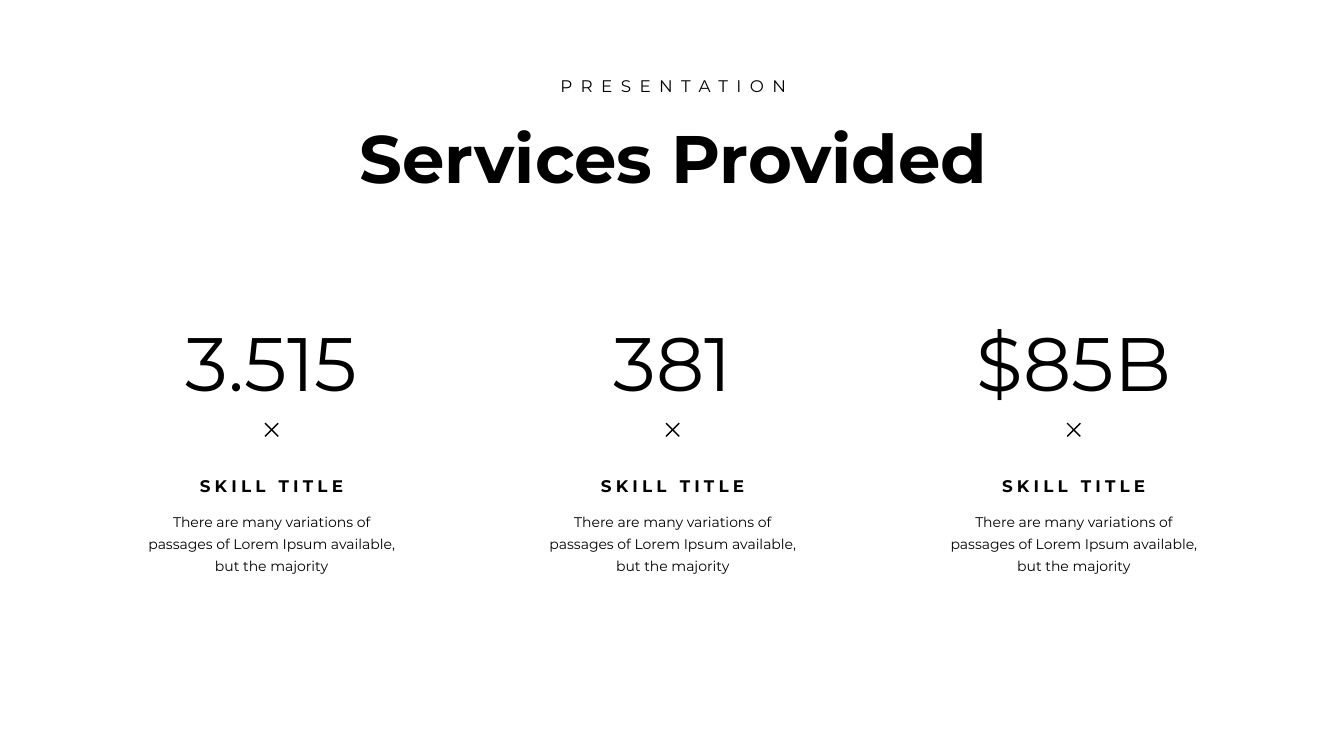
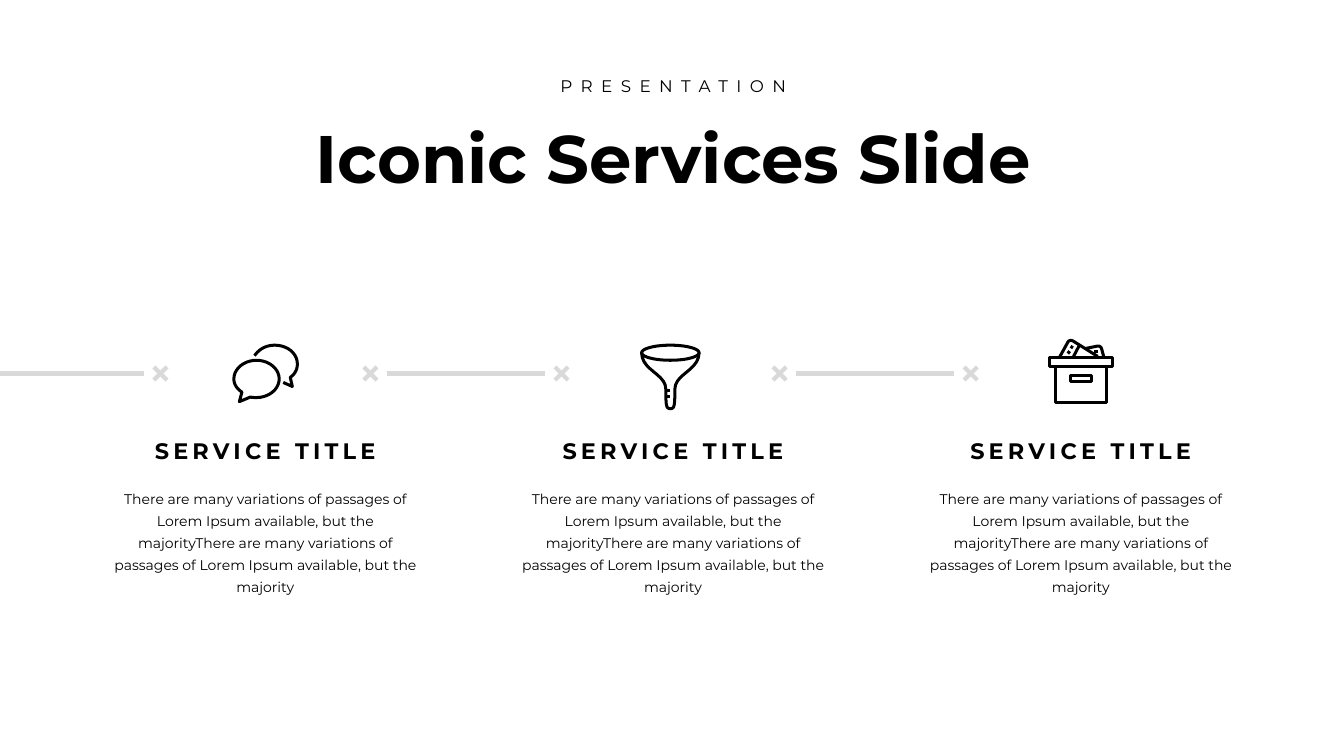
from dataclasses import dataclass
from lxml import etree
from pptx import Presentation
from pptx.dml.color import RGBColor
from pptx.enum.shapes import MSO_CONNECTOR
from pptx.enum.text import MSO_ANCHOR, MSO_AUTO_SIZE, PP_ALIGN
from pptx.oxml.ns import qn
from pptx.util import Pt

STRAIGHT = MSO_CONNECTOR.STRAIGHT
TOP = MSO_ANCHOR.TOP
GROW = MSO_AUTO_SIZE.SHAPE_TO_FIT_TEXT
CENTER = PP_ALIGN.CENTER


# Theme: colours and type styles
@dataclass(frozen=True)
class TextStyle:
    size: float
    bold: bool = False
    leading: float = 1.0
    tracking: float = 0


class Theme:
    font = "Montserrat"
    ink = RGBColor(0, 0, 0)
    rule = RGBColor(0xD9, 0xD9, 0xD9)
    title = TextStyle(48, bold=True, leading=0.8)
    kicker = TextStyle(12, leading=0.8, tracking=6)
    figure = TextStyle(54, leading=0.8)
    skill = TextStyle(12, bold=True, tracking=3)
    service = TextStyle(16, bold=True, tracking=3)
    body = TextStyle(10, leading=1.3)
    icon_unit = 0.72
    icon_line = 2.16


def flatten(path, steps=10):
    """Turn line points (x, y) and cubic curves (six numbers) into points."""
    points = [path[0]]
    for seg in path[1:]:
        if len(seg) == 2:
            points.append(seg)
            continue
        ctrl = [points[-1], seg[:2], seg[2:4], seg[4:]]
        for t in (i / steps for i in range(1, steps + 1)):
            u = 1 - t
            weights = (u ** 3, 3 * u * u * t, 3 * u * t * t, t ** 3)
            points.append(tuple(sum(w * c[k] for w, c in zip(weights, ctrl))
                                for k in (0, 1)))
    return points


class Deck:
    def __init__(self, theme):
        self.theme = theme
        self.prs = Presentation()
        self.prs.slide_width, self.prs.slide_height = Pt(960), Pt(540)
        self.s = None

    def slide(self, title):
        self.s = self.prs.slides.add_slide(self.prs.slide_layouts[5])
        sp = self.s.shapes.title
        sp.left, sp.top, sp.width, sp.height = map(Pt, (160.5, 90.7, 641, 57))
        self.set_text(sp, title, self.theme.title)
        self.text("PRESENTATION", 481, 53.3, 641, 19.5, self.theme.kicker)

    def text(self, text, center, top, width, height, style):
        sp = self.s.shapes.add_textbox(
            Pt(center - width / 2), Pt(top), Pt(width), Pt(height))
        self.set_text(sp, text, style)

    def set_text(self, sp, text, style):
        tf = sp.text_frame
        frame = {"word_wrap": True, "auto_size": GROW, "vertical_anchor": TOP,
                 "margin_left": 0, "margin_right": 0,
                 "margin_top": Pt(3.6), "margin_bottom": Pt(3.6)}
        for name, value in frame.items():
            setattr(tf, name, value)
        p = tf.paragraphs[0]
        p.alignment, p.line_spacing = CENTER, style.leading
        r = p.add_run()
        r.text = text
        font = {"name": self.theme.font, "size": Pt(style.size), "bold": style.bold}
        for name, value in font.items():
            setattr(r.font, name, value)
        r.font.color.rgb = self.theme.ink
        if style.tracking:
            r._r.get_or_add_rPr().set("spc", str(style.tracking * 100))

    def line(self, x1, y1, x2, y2, color, width):
        sp = self.s.shapes.add_connector(STRAIGHT, *map(Pt, (x1, y1, x2, y2)))
        sp.line.color.rgb, sp.line.width = color, Pt(width)
        etree.SubElement(sp._element.spPr, qn("a:effectLst"))

    def cross(self, x, y, color, width, half=4.7):
        self.line(x + half, y + half, x - half, y - half, color, width)
        self.line(x - half, y + half, x + half, y - half, color, width)

    def icon(self, paths, left, top):
        unit = self.theme.icon_unit
        builder = None
        for path in paths:
            pts = [(Pt(left + unit * x), Pt(top + unit * y))
                   for x, y in flatten(path)]
            if builder is None:
                builder = self.s.shapes.build_freeform(*pts[0])
            else:
                builder.move_to(*pts[0])
            builder.add_line_segments(pts[1:], close=path[0] == path[-1][-2:])
        sp = builder.convert_to_shape()
        sp.shadow.inherit = False
        sp.fill.background()
        sp.line.color.rgb, sp.line.width = self.theme.ink, Pt(self.theme.icon_line)


# Icon outlines, in icon units
def rect(x1, y1, x2, y2):
    return [(x1, y1), (x2, y1), (x2, y2), (x1, y2), (x1, y1)]


CHAT = [
    [(9.5, 48), (4.5, 45, 1.5, 40, 1.5, 35), (1.5, 25, 11.5, 16.5, 24, 16.5),
     (36.5, 16.5, 46.5, 25, 46.5, 35), (46.5, 45, 36.5, 53.5, 24, 53.5),
     (22, 53.5, 20, 53.5, 18, 53), (7, 57.5), (9.5, 48)],
    [(22, 12), (26, 6, 33, 1.5, 42, 1.5), (54.5, 1.5, 64.5, 9.5, 64.5, 20),
     (64.5, 26, 62, 30, 57.5, 33.5), (59.5, 42.5), (50.5, 38.5)],
]
FUNNEL = [
    [(1.5, 9), (1.5, 5, 14, 1.5, 30, 1.5), (46, 1.5, 58.5, 5, 58.5, 9),
     (58.5, 13, 46, 16.5, 30, 16.5), (14, 16.5, 1.5, 13, 1.5, 9)],
    [(1.5, 9), (1.5, 26.5, 25.5, 30, 25.5, 45), (25.5, 62, 26, 64.5, 30, 64.5),
     (34, 64.5, 34.5, 62, 34.5, 45), (34.5, 30, 58.5, 26.5, 58.5, 9)],
    [(25.5, 46.5), (29.5, 46.5)],
    [(25.5, 52.5), (29.5, 52.5)],
]
BOX = [
    rect(1.5, 18.5, 64.5, 27.5),
    rect(7.5, 27.5, 58.5, 63.5),
    rect(22.5, 36.5, 43.5, 42.5),
    [(11.5, 18.5), (19.5, 4), (20.5, 1.5, 23, 1, 25.5, 2.5), (49.5, 17.5)],
    [(31, 7), (25.5, 17.5)],
    [(38, 9.5), (48, 7.5), (51, 6.5, 53, 8, 53.5, 10.5), (55.5, 18)],
    [(19.5, 12.5), (22, 14.5)],
    [(22.5, 7.5), (25, 9)],
    [(46, 13), (49.5, 13)],
]

theme = Theme()
deck = Deck(theme)
LOREM = "There are many variations of passages of Lorem Ipsum available, but the majority"

# Slide 1: key figures
deck.slide("Services Provided")
for i, figure in enumerate(("3.515", "381", "$85B")):
    x = 194 + 286.5 * i
    deck.text(figure, x, 234.7, 181.5, 62.6, theme.figure)
    deck.cross(x, 307, theme.ink, 1)
    deck.text("SKILL TITLE", x, 336.2, 181.5, 21.6, theme.skill)
    deck.text(LOREM, x, 360, 181.5, 54.7, theme.body)

# Slide 2: services with icons
deck.slide("Iconic Services Slide")
for i, (paths, top) in enumerate(((CHAT, 245.5), (FUNNEL, 245.5), (BOX, 242))):
    x = 189.5 + 291.25 * i
    deck.icon(paths, x - 23.5, top)
    deck.text("SERVICE TITLE", x, 308.9, 226, 26.6, theme.service)
    deck.text(LOREM * 2, x, 343.5, 226, 85.7, theme.body)

# Slide 2: links between the services
LINK_Y = 266.8
for start, end in ((0, 103), (276.5, 389.5), (568.8, 681.8)):
    deck.line(start, LINK_Y, end, LINK_Y, theme.rule, 3)
    deck.cross(end + 11.6, LINK_Y, theme.rule, 3)
    if start:
        deck.cross(start - 11.9, LINK_Y, theme.rule, 3)

deck.prs.save("out.pptx")
